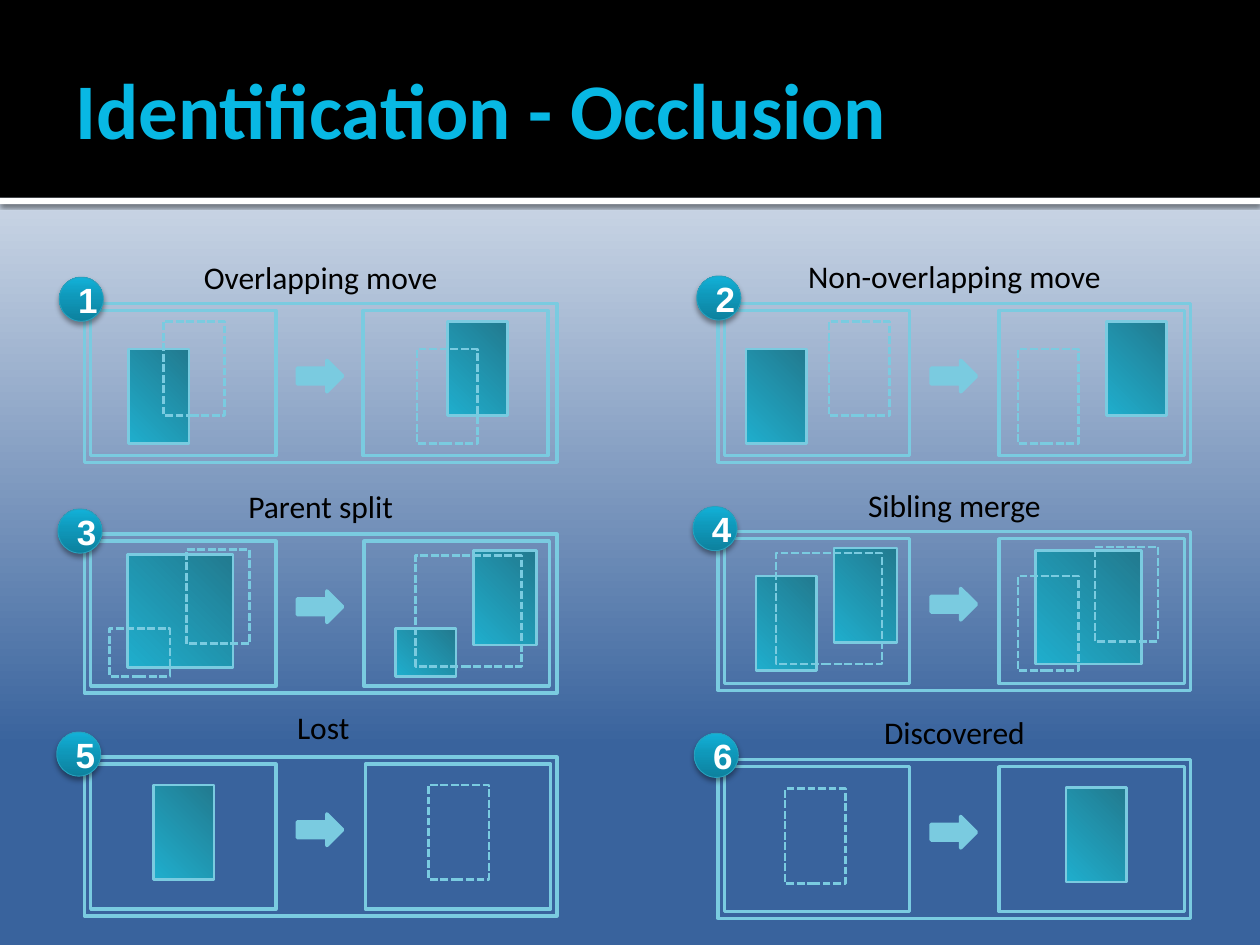
import lxml.etree
import pptx
import pptx.dml.color
import pptx.enum.dml
import pptx.enum.shapes
import pptx.enum.text
import pptx.oxml.ns
import pptx.util

GRID_COLUMNS, GRID_ROWS = 1000, 750
SLIDE_WIDTH, SLIDE_HEIGHT = pptx.util.Inches(10), pptx.util.Inches(7.5)
SHAPES = pptx.enum.shapes.MSO_SHAPE
LINE_COLOUR = "7ACBE0"
BACKGROUND_STOPS = [(0, "FFFFFF"), (79, "39639D")]
BLOCK_STOPS = [(0, "227A8F"), (100, "1FAECD")]
BADGE_STOPS = [(0, "0D819E"), (55, "0F98BA"), (100, "12B1D8")]

CHILD, SIBLING, SHORT = (48, 75), (50, 75), (48, 38)
PARENT, PARENT_OUTLINE = (84, 90), (84, 88)
PANEL, FRAME, ARROW, BADGE = (375, 126), (147, 115), (36, 25), (35, 35)

PANELS = [
    dict(title="Overlapping move", origin=(67, 241), second_frame=221, caption=(0, -41), badge=(-20, -21),
         blocks=[(35, 36, CHILD), (288, 14, CHILD)],
         outlines=[(63, 14, CHILD), (264, 36, CHILD)]),
    dict(title="Non-overlapping move", origin=(570, 241), second_frame=223, caption=(0, -42), badge=(-17, -22),
         blocks=[(22, 36, CHILD), (308, 14, CHILD)],
         outlines=[(88, 14, CHILD), (238, 36, CHILD)]),
    dict(title="Parent split", origin=(67, 424), second_frame=222, caption=(0, -42), badge=(-21, -20),
         blocks=[(34, 16, PARENT), (247, 75, SHORT), (309, 13, SIBLING)],
         outlines=[(81, 12, SIBLING), (20, 75, SHORT), (263, 17, PARENT_OUTLINE)]),
    dict(title="Sibling merge", origin=(570, 422), second_frame=223, caption=(0, -41), badge=(-20, -20),
         blocks=[(252, 15, PARENT), (30, 35, CHILD), (92, 13, SIBLING)],
         outlines=[(299, 12, SIBLING), (238, 35, CHILD), (46, 17, PARENT_OUTLINE)]),
    dict(title="Lost", origin=(67, 601), second_frame=223, caption=(2, -44), badge=(-22, -20),
         blocks=[(55, 22, CHILD)], outlines=[(273, 22, CHILD)]),
    dict(title="Discovered", origin=(570, 603), second_frame=223, caption=(0, -42), badge=(-19, -21),
         blocks=[(276, 22, CHILD)], outlines=[(53, 23, CHILD)]),
]


def colour(value):
    return pptx.dml.color.RGBColor.from_string(value)


def grid_box(column, row, size):
    width, height = size
    return (int(SLIDE_WIDTH * column / GRID_COLUMNS), int(SLIDE_HEIGHT * row / GRID_ROWS),
            int(SLIDE_WIDTH * width / GRID_COLUMNS), int(SLIDE_HEIGHT * height / GRID_ROWS))


def add_element(parent, tag, **attributes):
    values = {name: str(value) for name, value in attributes.items()}
    return lxml.etree.SubElement(parent, pptx.oxml.ns.qn(tag), values)


def set_gradient(fill, element, stops, angle):
    fill.gradient()
    fill.gradient_angle = 360 - angle
    stop_list = element.find(".//" + pptx.oxml.ns.qn("a:gsLst"))
    for stop in list(stop_list):
        stop_list.remove(stop)
    for position, value in stops:
        stop = add_element(stop_list, "a:gs", pos=position * 1000)
        add_element(stop, "a:srgbClr", val=value)


def add_shadow(shape, opacity, blur, distance):
    effects = shape.element.spPr.find(pptx.oxml.ns.qn("a:effectLst"))
    shadow = add_element(effects, "a:outerShdw", blurRad=pptx.util.Pt(blur), dist=pptx.util.Pt(distance),
                         dir=90 * 60000, algn="ctr", rotWithShape=0)
    black = add_element(shadow, "a:srgbClr", val="000000")
    add_element(black, "a:alpha", val=opacity * 1000)


def add_shape(slide, kind, box, fill=None, line=None, weight=2):
    shape = slide.shapes.add_shape(kind, *box)
    shape.shadow.inherit = False
    if fill:
        shape.fill.solid()
        shape.fill.fore_color.rgb = colour(fill)
    else:
        shape.fill.background()
    if line:
        shape.line.color.rgb = colour(line)
        shape.line.width = pptx.util.Pt(weight)
    else:
        shape.line.fill.background()
    return shape


def write_text(shape, text, font, font_colour, frame, alignment=None):
    for name, value in frame.items():
        setattr(shape.text_frame, name, value)
    paragraph = shape.text_frame.paragraphs[0]
    paragraph.alignment = alignment
    run = paragraph.add_run()
    run.text = text
    for name, value in font.items():
        setattr(run.font, name, value)
    run.font.color.rgb = colour(font_colour)


def add_header(slide):
    strip = add_shape(slide, SHAPES.RECTANGLE, grid_box(0, 157, (1000, 5)), fill="FFFFFF")
    add_shadow(strip, 60, 2.5, 0.8)
    add_shape(slide, SHAPES.RECTANGLE, grid_box(0, 0, (1000, 157)), fill="000000")
    title = slide.shapes.add_textbox(*grid_box(50, 17, (900, 137)))
    write_text(title, "Identification - Occlusion",
               dict(name="Calibri", size=pptx.util.Pt(45), bold=True), "08B8E4",
               dict(word_wrap=True, vertical_anchor=pptx.enum.text.MSO_ANCHOR.MIDDLE,
                    margin_right=pptx.util.Inches(0.05)))


def add_block(slide, box):
    block = add_shape(slide, SHAPES.RECTANGLE, box, line=LINE_COLOUR, weight=1.5)
    set_gradient(block.fill, block.element, BLOCK_STOPS, 135)


def add_outline(slide, box):
    outline = add_shape(slide, SHAPES.RECTANGLE, box, line=LINE_COLOUR, weight=1.5)
    outline.line.dash_style = pptx.enum.dml.MSO_LINE.SQUARE_DOT


def add_caption(slide, box, text):
    caption = slide.shapes.add_textbox(*box)
    write_text(caption, text, dict(name="Calibri", size=pptx.util.Pt(18)), "000000",
               dict(word_wrap=True, auto_size=pptx.enum.text.MSO_AUTO_SIZE.SHAPE_TO_FIT_TEXT),
               pptx.enum.text.PP_ALIGN.CENTER)


def add_badge(slide, box, number):
    badge = add_shape(slide, SHAPES.OVAL, box, line="28A1BE", weight=0.5)
    set_gradient(badge.fill, badge.element, BADGE_STOPS, 270)
    add_shadow(badge, 38, 3.1, 2)
    write_text(badge, str(number), dict(name="Arial", size=pptx.util.Pt(20), bold=True), "FFFFFF",
               dict(vertical_anchor=pptx.enum.text.MSO_ANCHOR.MIDDLE),
               pptx.enum.text.PP_ALIGN.CENTER)


def add_panel(slide, number, panel):
    left, top = panel["origin"]

    def inside(column, row, size):
        return grid_box(left + column, top + row, size)

    add_shape(slide, SHAPES.RECTANGLE, inside(0, 0, PANEL), line=LINE_COLOUR)
    for column in (5, panel["second_frame"]):
        add_shape(slide, SHAPES.RECTANGLE, inside(column, 5.5, FRAME), line=LINE_COLOUR)
    add_shape(slide, SHAPES.RIGHT_ARROW, inside(169, 45, ARROW), fill=LINE_COLOUR, line=LINE_COLOUR)
    for block in panel["blocks"]:
        add_block(slide, inside(*block))
    for outline in panel["outlines"]:
        add_outline(slide, inside(*outline))
    add_caption(slide, inside(*panel["caption"], (375, 40)), panel["title"])
    add_badge(slide, inside(*panel["badge"], BADGE), number)


def main():
    presentation = pptx.Presentation()
    presentation.slide_width, presentation.slide_height = SLIDE_WIDTH, SLIDE_HEIGHT
    slide = presentation.slides.add_slide(presentation.slide_layouts[6])
    set_gradient(slide.background.fill, slide.element, BACKGROUND_STOPS, 90)
    add_header(slide)
    for number, panel in enumerate(PANELS, start=1):
        add_panel(slide, number, panel)
    presentation.save("out.pptx")


if __name__ == "__main__":
    main()
